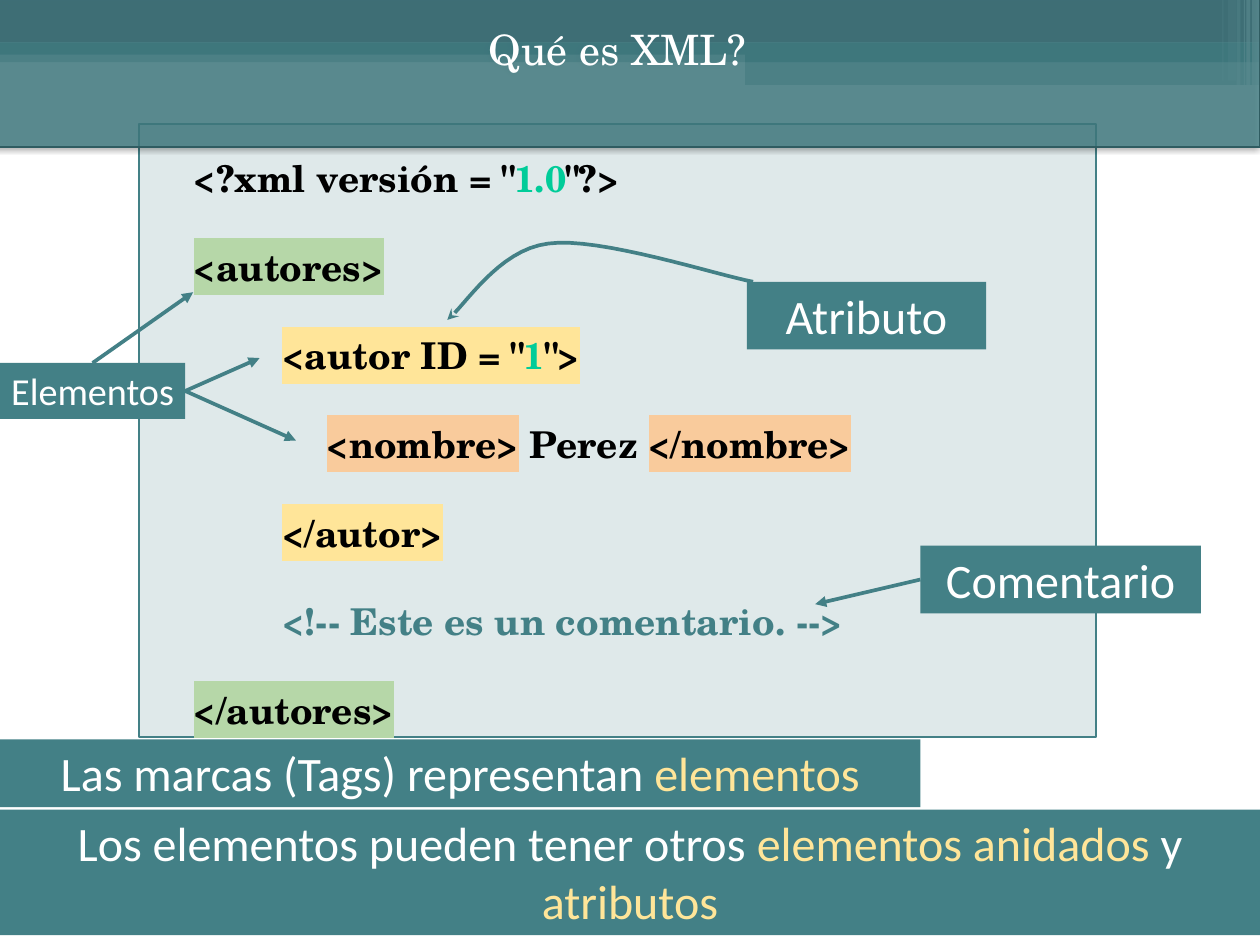
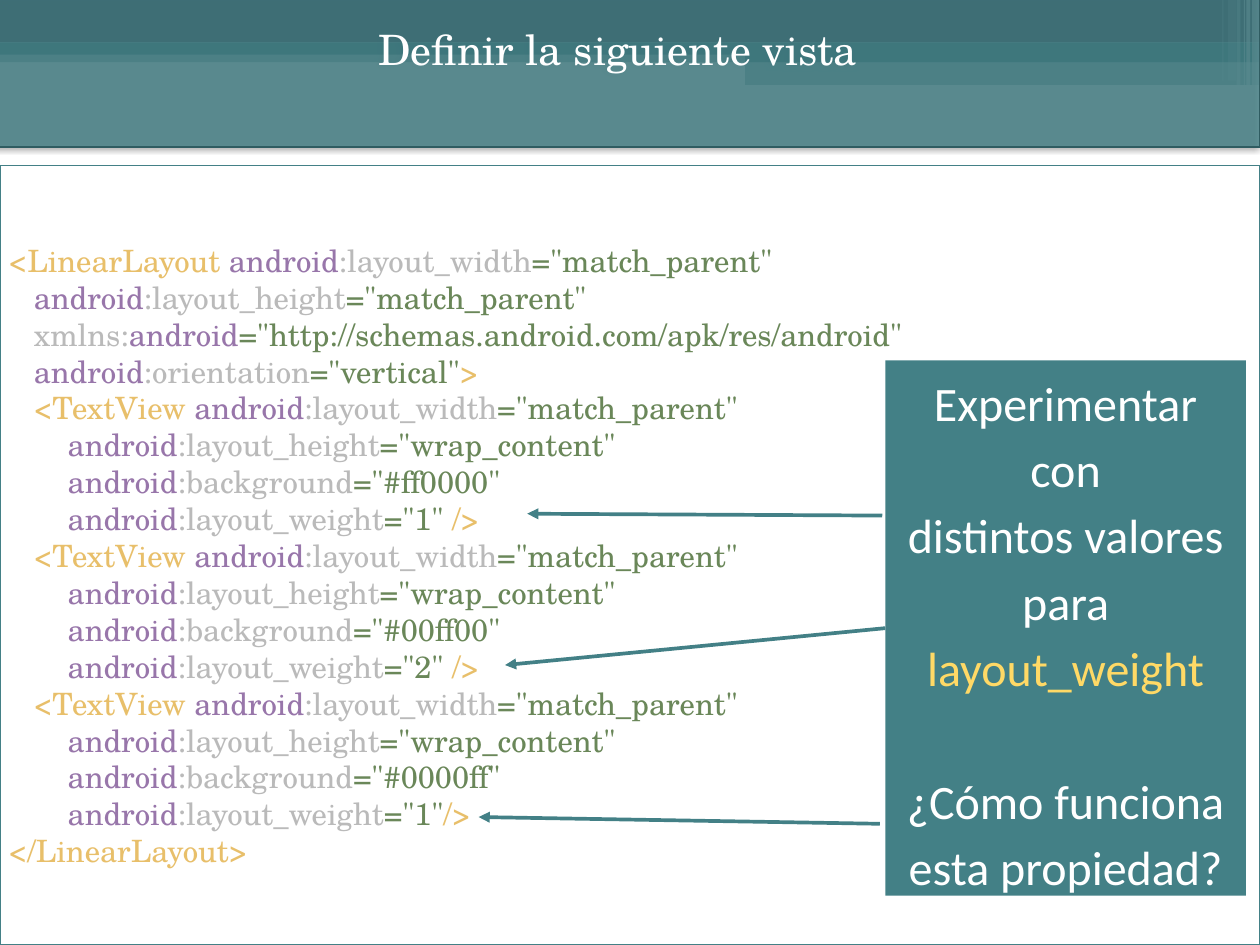
from dataclasses import dataclass
from typing import NamedTuple

from lxml.etree import SubElement
from pptx import Presentation
from pptx.dml.color import RGBColor
from pptx.enum.shapes import MSO_CONNECTOR, MSO_SHAPE
from pptx.enum.text import MSO_ANCHOR, PP_ALIGN
from pptx.oxml.ns import qn
from pptx.util import Pt


@dataclass(frozen=True)
class Theme:
    teal: str = "438086"
    slate: str = "424456"
    outline: str = "2F5C61"
    white: str = "FFFFFF"
    black: str = "000000"
    mint: str = "00CC99"
    green: str = "B6D7A8"
    yellow: str = "FFE599"
    orange: str = "F9CB9C"
    gold: str = "FFD966"
    tag: str = "E8BF6A"
    prefix: str = "9876AA"
    attribute: str = "BABABA"
    value: str = "6A8759"
    serif: str = "TeX Gyre Schola"
    sans: str = "Calibri"
    title_size: float = 34
    label_size: float = 39
    small_label_size: float = 31
    xml_size: float = 30
    layout_size: float = 25
    border: float = 1.5
    arrow: float = 3


THEME = Theme()


class Run(NamedTuple):
    text: str
    color: str
    highlight: str = ""


class Line(NamedTuple):
    runs: list
    indent: float = 0
    before: float = 0


# ---- Content ----

WIDTH, HEIGHT = 1024, 768

# left, top, width, height, colour, opacity
HEADER_BANDS = [
    (0, 41, WIDTH, 9.5, THEME.teal, 49),
    (0, 0, WIDTH, 34.5, THEME.slate, 100),
    (0, 34.5, WIDTH, 10, THEME.teal, 100),
    (605.5, 40.5, 418.5, 10, THEME.teal, 100),
    (605.5, 49, 418.5, 20, THEME.teal, 49),
]
# left, width, height, opacity
HEADER_STRIPES = [
    (1017.5, 6.5, 70, 64),
    (1013, 3, 70, 64),
    (1011, 0.75, 70, 59),
    (1005, 3, 70, 39),
    (998, 6.5, 65.5, 19),
    (993.5, 0.75, 65.5, 29),
]

XML_TITLE = "Qué es XML?"
XML_GAP = 36
XML_LINES = [
    Line([Run('<?xml versión = "', THEME.black), Run("1.0", THEME.mint),
          Run('"?>', THEME.black)]),
    Line([Run("<autores>", THEME.black, THEME.green)], 0, XML_GAP),
    Line([Run('<autor ID = "', THEME.black, THEME.yellow),
          Run("1", THEME.mint, THEME.yellow),
          Run('">', THEME.black, THEME.yellow)], 72, XML_GAP),
    Line([Run("<nombre>", THEME.black, THEME.orange), Run(" Perez ", THEME.black),
          Run("</nombre>", THEME.black, THEME.orange)], 108, XML_GAP),
    Line([Run("</autor>", THEME.black, THEME.yellow)], 72, XML_GAP),
    Line([Run("<!-- Este es un comentario. -->", THEME.teal)], 72, XML_GAP),
    Line([Run("</autores>", THEME.black, THEME.green)], 0, XML_GAP),
]
# name: (box, size, runs)
XML_LABELS = {
    "marcas": ((0, 601, 748, 55), THEME.label_size,
               [Run("Las marcas (Tags) representan ", THEME.white),
                Run("elementos", THEME.yellow)]),
    "anidados": ((0, 658, WIDTH, 102), THEME.label_size,
                 [Run("Los elementos pueden tener otros ", THEME.white),
                  Run("elementos anidados", THEME.yellow),
                  Run(" y ", THEME.white), Run("atributos", THEME.yellow)]),
    "elementos": ((0, 295, 150.5, 45.5), THEME.small_label_size,
                  [Run("Elementos", THEME.white)]),
    "atributo": ((607, 229, 194.5, 55), THEME.label_size,
                 [Run("Atributo", THEME.white)]),
    "comentario": ((748, 443.5, 228, 55), THEME.label_size,
                   [Run("Comentario", THEME.white)]),
}
# label, side of the label, end point
XML_ARROWS = [
    ("elementos", 0, (157, 237.5)),
    ("elementos", 3, (211, 291)),
    ("elementos", 3, (240.5, 358)),
    ("comentario", 1, (662.5, 491)),
]
ATTRIBUTE_CURVE = [
    [(612, 229), (584, 224), (486.5, 192), (445.5, 198)],
    [(445.5, 198), (404.5, 203), (377, 250), (363.5, 260)],
]

VIEW_TITLE = "Definir la siguiente vista"
ROOT_INDENT, CHILD_INDENT = 20.5, 48


def attribute(name, value):
    return [Run("android", THEME.prefix), Run(f":{name}", THEME.attribute),
            Run(f'="{value}"', THEME.value)]


def text_view(background, weight, closing):
    return [
        Line([Run("<TextView ", THEME.tag)] + attribute("layout_width", "match_parent"),
             ROOT_INDENT),
        Line(attribute("layout_height", "wrap_content"), CHILD_INDENT),
        Line(attribute("background", background), CHILD_INDENT),
        Line(attribute("layout_weight", weight) + [Run(closing, THEME.tag)], CHILD_INDENT),
    ]


VIEW_LINES = [
    Line([Run("<LinearLayout ", THEME.tag)] + attribute("layout_width", "match_parent")),
    Line(attribute("layout_height", "match_parent"), ROOT_INDENT),
    Line([Run("xmlns:", THEME.attribute), Run("android", THEME.prefix),
          Run('="http://schemas.android.com/apk/res/android"', THEME.value)], ROOT_INDENT),
    Line(attribute("orientation", "vertical") + [Run(">", THEME.tag)], ROOT_INDENT),
    *text_view("#ff0000", "1", " />"),
    *text_view("#00ff00", "2", " />"),
    *text_view("#0000ff", "1", "/>"),
    Line([Run("</LinearLayout>", THEME.tag)]),
]
EXPERIMENT_BOX = (719.5, 293, 293, 435)
EXPERIMENT_LINES = [
    Line([Run("Experimentar con", THEME.white)]),
    Line([Run("distintos valores", THEME.white)]),
    Line([Run("para", THEME.white)]),
    Line([Run("layout_weight", THEME.gold)]),
    Line([Run("¿Cómo funciona", THEME.white)], before=54.7),
    Line([Run("esta propiedad?", THEME.white)]),
]
WEIGHT_ARROWS = [((717, 419), (428.5, 417.5)), ((715, 669.5), (389, 664))]
MIDDLE_WEIGHT_END = (410.5, 540.5)


# ---- Drawing ----

def points(values):
    return [Pt(value) for value in values]


def set_alpha(color_element, percent):
    SubElement(color_element, qn("a:alpha"), val=str(percent * 1000))


def add_box(slide, box, fill, opacity=100, line=None):
    shape = slide.shapes.add_shape(MSO_SHAPE.RECTANGLE, *points(box))
    shape.shadow.inherit = False
    shape.fill.solid()
    shape.fill.fore_color.rgb = RGBColor.from_string(fill)
    if opacity < 100:
        set_alpha(shape.element.spPr.find(qn("a:solidFill"))[0], opacity)
    if line:
        shape.line.color.rgb = RGBColor.from_string(line)
        shape.line.width = Pt(THEME.border)
    else:
        shape.line.fill.background()
    return shape


def write(shape, lines, *, size, font=THEME.sans, bold=False, align=PP_ALIGN.CENTER,
          anchor=MSO_ANCHOR.TOP, spacing=None, inset=(7.2, 3.6)):
    frame = shape.text_frame
    frame.word_wrap = True
    frame.vertical_anchor = anchor
    frame.margin_left = frame.margin_right = Pt(inset[0])
    frame.margin_top = frame.margin_bottom = Pt(inset[1])
    for index, line in enumerate(lines):
        paragraph = frame.add_paragraph() if index else frame.paragraphs[0]
        paragraph.alignment = align
        paragraph.space_before = Pt(line.before)
        if spacing:
            paragraph.line_spacing = spacing
        if line.indent:
            paragraph._p.get_or_add_pPr().set("marL", str(Pt(line.indent)))
        for part in line.runs:
            run = paragraph.add_run()
            run.text = part.text
            run.font.size = Pt(size)
            run.font.bold = bold
            run.font.name = font
            run.font.color.rgb = RGBColor.from_string(part.color)
            if part.highlight:
                properties = run._r.get_or_add_rPr()
                highlight = SubElement(properties, qn("a:highlight"))
                SubElement(highlight, qn("a:srgbClr"), val=part.highlight)
                properties.find(qn("a:solidFill")).addnext(highlight)


def style_arrow(arrow, head):
    arrow.line.color.rgb = RGBColor.from_string(THEME.teal)
    arrow.line.width = Pt(THEME.arrow)
    SubElement(arrow.line._get_or_add_ln(), qn("a:tailEnd"), type=head)


def add_arrow(slide, start, end, source=None, side=0):
    arrow = slide.shapes.add_connector(MSO_CONNECTOR.STRAIGHT, *points(start + end))
    if source is not None:
        arrow.begin_connect(source, side)
    style_arrow(arrow, "triangle")
    SubElement(arrow.element.spPr, qn("a:effectLst"))


def bezier(controls, steps=16):
    """Points along a cubic curve, after its first point."""
    for step in range(1, steps + 1):
        t = step / steps
        weights = ((1 - t) ** 3, 3 * t * (1 - t) ** 2, 3 * t * t * (1 - t), t ** 3)
        yield tuple(Pt(sum(w * c[axis] for w, c in zip(weights, controls)))
                    for axis in (0, 1))


def add_curved_arrow(slide, segments):
    builder = slide.shapes.build_freeform(*points(segments[0][0]))
    builder.add_line_segments([point for segment in segments for point in bezier(segment)],
                              close=False)
    curve = builder.convert_to_shape()
    curve.shadow.inherit = False
    curve.fill.background()
    style_arrow(curve, "stealth")


def move_header_to_layout(slide):
    """Draw the header decoration and hand it to the layout that all slides share."""
    bands = HEADER_BANDS + [(left, 0, width, height, THEME.white, opacity)
                            for left, width, height, opacity in HEADER_STRIPES]
    for *box, color, opacity in bands:
        band = add_box(slide, box, color, opacity)
        slide.slide_layout.shapes.element.append(band.element)


def add_title(slide, text):
    title = add_box(slide, (-20, -3, WIDTH + 20, 122.5), THEME.teal, 79, THEME.outline)
    shadow = SubElement(title.element.spPr.find(qn("a:effectLst")), qn("a:outerShdw"),
                        blurRad=str(Pt(5)), dist=str(Pt(3)), dir=str(180 * 60000),
                        rotWithShape="0")
    set_alpha(SubElement(shadow, qn("a:srgbClr"), val=THEME.black), 40)
    write(title, [Line([Run(text, THEME.white)])], size=THEME.title_size,
          font=THEME.serif, inset=(40, 22))


def build_xml_slide(slide):
    add_box(slide, (113, 101, 777.5, 498), THEME.teal, 17, THEME.teal)
    add_title(slide, XML_TITLE)
    listing = slide.shapes.add_textbox(*points((150.5, 119.5, 651, 504)))
    write(listing, XML_LINES, size=THEME.xml_size, font=THEME.serif, bold=True,
          align=PP_ALIGN.LEFT, inset=(7.2, 7.2))
    labels = {}
    for name, (box, size, runs) in XML_LABELS.items():
        labels[name] = add_box(slide, box, THEME.teal)
        write(labels[name], [Line(runs)], size=size)
    for name, side, end in XML_ARROWS:
        add_arrow(slide, (0, 0), end, labels[name], side)
    add_curved_arrow(slide, ATTRIBUTE_CURVE)


def build_view_slide(slide):
    add_title(slide, VIEW_TITLE)
    listing = add_box(slide, (0, 134.5, WIDTH, HEIGHT - 134.5), THEME.white,
                      line=THEME.teal)
    write(listing, VIEW_LINES, size=THEME.layout_size, font=THEME.serif,
          align=PP_ALIGN.LEFT, anchor=MSO_ANCHOR.MIDDLE)
    experiment = add_box(slide, EXPERIMENT_BOX, THEME.teal)
    write(experiment, EXPERIMENT_LINES, size=THEME.label_size, spacing=1.15,
          inset=(10, 3.6))
    for start, end in WEIGHT_ARROWS:
        add_arrow(slide, start, end)
    add_arrow(slide, (0, 0), MIDDLE_WEIGHT_END, experiment, 1)


def main():
    deck = Presentation()
    deck.slide_width, deck.slide_height = Pt(WIDTH), Pt(HEIGHT)
    blank = deck.slide_layouts[6]
    xml_slide, view_slide = (deck.slides.add_slide(blank) for _ in range(2))
    move_header_to_layout(xml_slide)
    build_xml_slide(xml_slide)
    build_view_slide(view_slide)
    deck.save("out.pptx")


if __name__ == "__main__":
    main()
